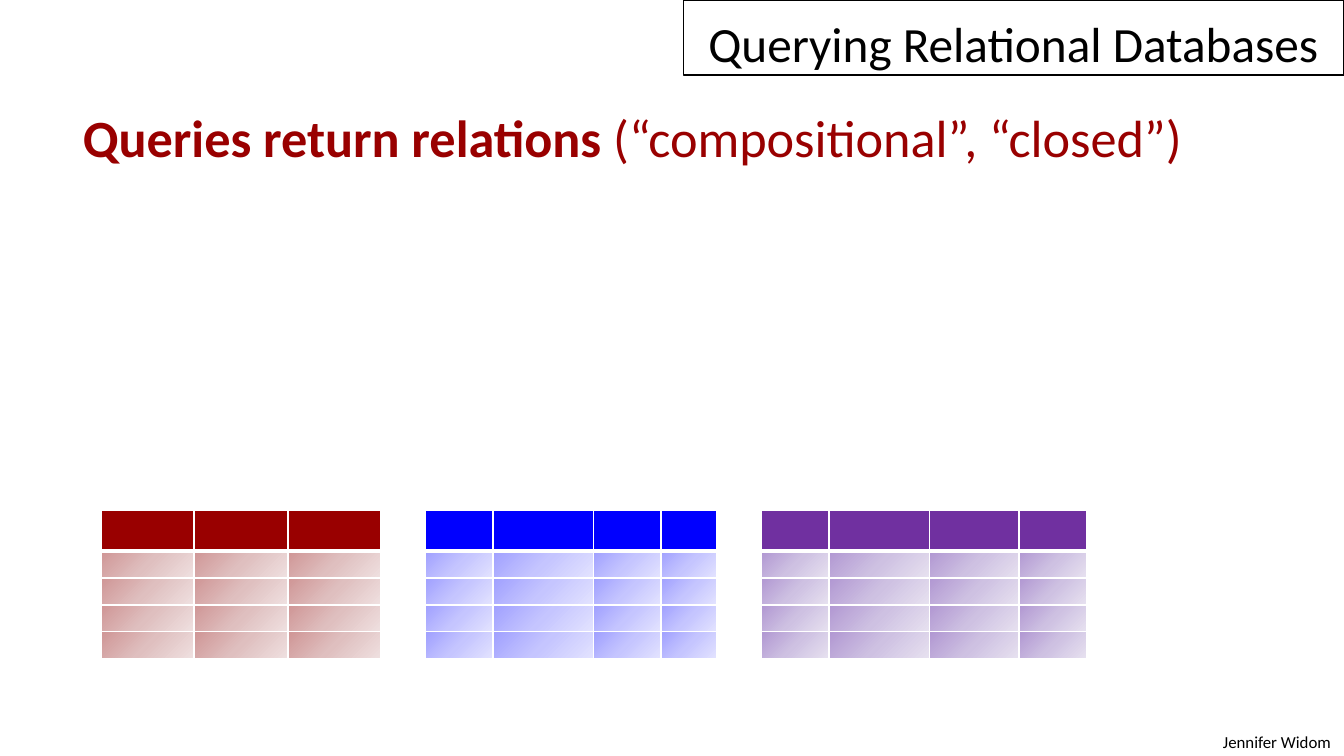
import dataclasses

import lxml.etree
import pptx
import pptx.dml.color
import pptx.enum.text
import pptx.oxml.ns
import pptx.util

EMU_PER_PX = 7620  # 120 px to the inch


@dataclasses.dataclass(frozen=True)
class Theme:
    font: str = "Calibri"
    ink: str = "000000"
    accent: str = "990000"
    paper: str = "FFFFFF"
    title_size: float = 26.4
    body_size: float = 28
    footer_size: float = 9
    cell_size: float = 8
    thin_line: float = 1
    header_line: float = 3


@dataclasses.dataclass(frozen=True)
class Relation:
    left: int
    columns: tuple[int, ...]
    header: str
    gradient: tuple[str, str, str]


THEME = Theme()
TABLE_TOP = 456
ROW_HEIGHTS = (36, 24, 24, 24, 24)
RELATIONS = (
    Relation(90, (83, 84, 83), "990000", ("CF9595", "DFBFBF", "EFE0E0")),
    Relation(380, (60, 90, 60, 50), "0000FF", ("A0A0FF", "C5C5FF", "E3E3FF")),
    Relation(680, (60, 90, 80, 60), "7030A0", ("B197D2", "CEC1E2", "E7E1F0")),
)


def px(length: int) -> pptx.util.Emu:
    return pptx.util.Emu(length * EMU_PER_PX)


def rgb(value: str) -> pptx.dml.color.RGBColor:
    return pptx.dml.color.RGBColor.from_string(value)


def add_element(parent, tag: str, **attributes: str):
    """Append a DrawingML child element."""
    return lxml.etree.SubElement(parent, pptx.oxml.ns.qn(tag), attributes)


def place(shape, left: int, top: int, width: int, height: int) -> None:
    shape.left, shape.top = px(left), px(top)
    shape.width, shape.height = px(width), px(height)


def format_runs(paragraph, size: float, color: str) -> None:
    for run in paragraph.runs:
        run.font.name = THEME.font
        run.font.size = pptx.util.Pt(size)
        run.font.color.rgb = rgb(color)


def set_title(shape) -> None:
    place(shape, 610, 0, 590, 67)
    shape.line.color.rgb = rgb(THEME.ink)
    shape.line.width = pptx.util.Pt(0.75)
    frame = shape.text_frame
    frame.text = "Querying Relational Databases"
    frame.auto_size = pptx.enum.text.MSO_AUTO_SIZE.NONE
    frame.vertical_anchor = pptx.enum.text.MSO_ANCHOR.BOTTOM
    frame.margin_bottom = px(2)
    frame.paragraphs[0].alignment = pptx.enum.text.PP_ALIGN.CENTER
    format_runs(frame.paragraphs[0], THEME.title_size, THEME.ink)


def set_body(shape) -> None:
    place(shape, 50, 88, 1090, 457)
    frame = shape.text_frame
    frame.auto_size = pptx.enum.text.MSO_AUTO_SIZE.NONE
    paragraph = frame.paragraphs[0]
    properties = paragraph._p.get_or_add_pPr()
    properties.set("marL", str(px(36)))
    properties.set("indent", str(px(-24)))
    add_element(properties, "a:buNone")
    paragraph.space_before = pptx.util.Pt(0)
    for text, bold in (
        ("Queries return relations ", True),
        ("(“compositional”, “closed”)", False),
    ):
        run = paragraph.add_run()
        run.text = text
        run.font.bold = bold
    format_runs(paragraph, THEME.body_size, THEME.accent)


def add_footer(slide) -> None:
    shape = slide.shapes.add_textbox(px(1070), px(647), px(130), px(28))
    frame = shape.text_frame
    frame.word_wrap = True
    frame.text = "Jennifer Widom"
    frame.paragraphs[0].alignment = pptx.enum.text.PP_ALIGN.RIGHT
    format_runs(frame.paragraphs[0], THEME.footer_size, THEME.ink)


def format_cell(cell, relation: Relation, is_header: bool) -> None:
    cell.margin_left = cell.margin_right = cell.margin_top = cell.margin_bottom = 0
    # A small end-of-paragraph size keeps empty rows at their set height
    add_element(
        cell.text_frame.paragraphs[0]._p,
        "a:endParaRPr",
        sz=str(int(THEME.cell_size * 100)),
    )
    properties = cell._tc.get_or_add_tcPr()
    for side in "LRTB":
        heavy = is_header and side == "B"
        width = THEME.header_line if heavy else THEME.thin_line
        border = add_element(properties, f"a:ln{side}", w=str(pptx.util.Pt(width)))
        fill = add_element(border, "a:solidFill")
        add_element(fill, "a:srgbClr", val=THEME.paper)
    if is_header:
        cell.fill.solid()
        cell.fill.fore_color.rgb = rgb(relation.header)
        return
    gradient = add_element(properties, "a:gradFill", rotWithShape="1")
    stops = add_element(gradient, "a:gsLst")
    for index, color in enumerate(relation.gradient):
        stop = add_element(stops, "a:gs", pos=str(index * 50000))
        add_element(stop, "a:srgbClr", val=color)
    add_element(gradient, "a:lin", ang=str(45 * 60000), scaled="0")


def add_relation(slide, relation: Relation) -> None:
    table = slide.shapes.add_table(
        len(ROW_HEIGHTS),
        len(relation.columns),
        px(relation.left),
        px(TABLE_TOP),
        px(sum(relation.columns)),
        px(sum(ROW_HEIGHTS)),
    ).table
    table.horz_banding = False
    for column, width in zip(table.columns, relation.columns):
        column.width = px(width)
    for index, (row, height) in enumerate(zip(table.rows, ROW_HEIGHTS)):
        row.height = px(height)
        for cell in row.cells:
            format_cell(cell, relation, index == 0)


def main() -> None:
    presentation = pptx.Presentation()
    presentation.slide_width, presentation.slide_height = px(1200), px(675)
    slide = presentation.slides.add_slide(presentation.slide_layouts[1])

    # Heading, statement and author
    set_title(slide.shapes.title)
    set_body(slide.placeholders[1])
    add_footer(slide)

    # Three relations in a row
    for relation in RELATIONS:
        add_relation(slide, relation)

    presentation.save("out.pptx")


if __name__ == "__main__":
    main()
